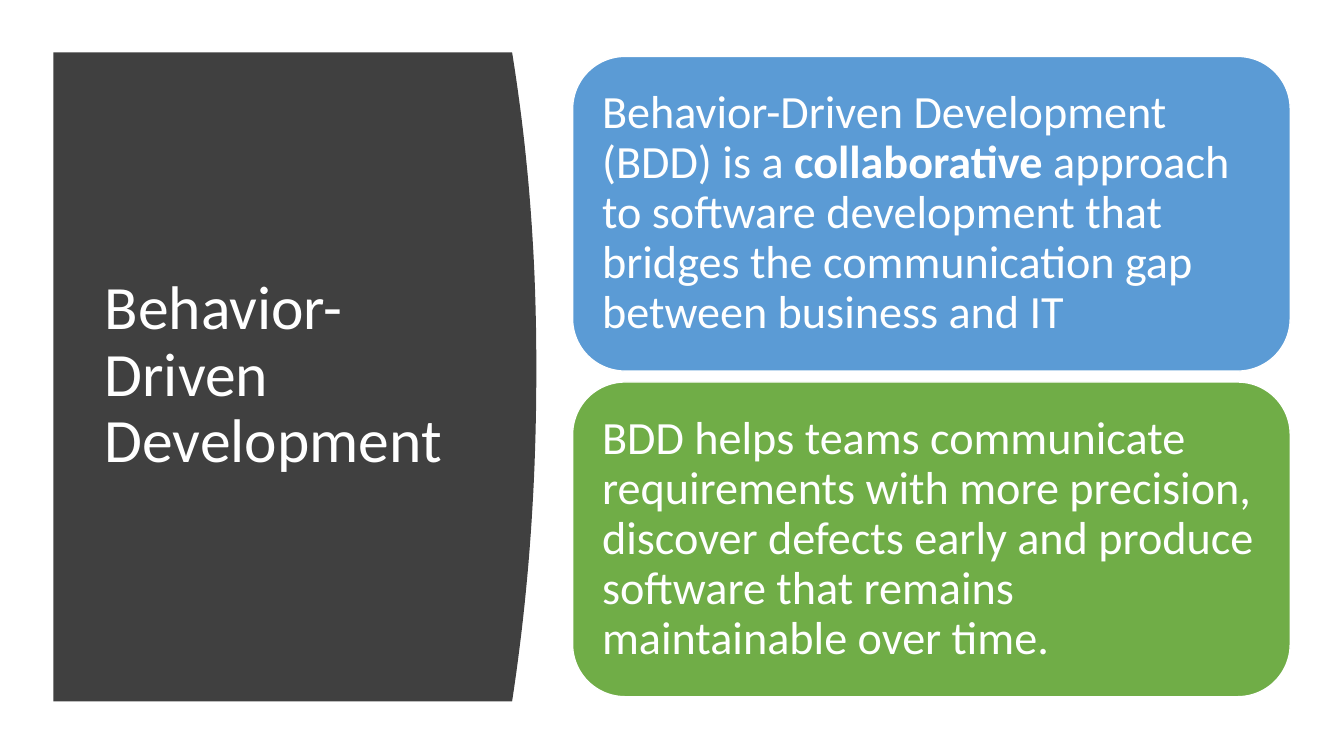
from pptx import Presentation
from pptx.dml.color import RGBColor
from pptx.enum.shapes import MSO_SHAPE as SHAPE
from pptx.enum.text import MSO_ANCHOR as ANCHOR, PP_ALIGN as ALIGN
from pptx.util import Pt

WHITE = RGBColor(0xFF, 0xFF, 0xFF)
CHARCOAL = RGBColor(0x40, 0x40, 0x40)
BLUE = RGBColor(0x5B, 0x9B, 0xD5)
GREEN = RGBColor(0x70, 0xAD, 0x47)


def write_text(sp, runs, size, font="Calibri", color=WHITE, inset_x=7.2, inset_y=3.6):
    """Fill a shape with one paragraph made of (text, bold) runs."""
    tf = sp.text_frame
    tf.word_wrap = True
    tf.vertical_anchor = ANCHOR.MIDDLE
    tf.margin_left = tf.margin_right = Pt(inset_x)
    tf.margin_top = tf.margin_bottom = Pt(inset_y)
    p = tf.paragraphs[0]
    p.alignment = ALIGN.LEFT
    p.line_spacing = 0.9
    for text, bold in runs:
        r = p.add_run()
        r.text = text
        r.font.name = font
        r.font.size = Pt(size)
        r.font.bold = bold
        r.font.color.rgb = color


class SlideBuilder:
    title_size = 44
    card_size = 33
    card_inset = 10.08

    def __init__(self, slide):
        self.s = slide

    def curved_panel(self, left, top, side, bottom, mid, bulge, color, steps=24):
        """Panel whose right side swells from `side` by `bulge` at height `mid`."""
        edge = []
        for i in range(2 * steps + 1):
            t = i / steps - 1
            half = mid - top if t < 0 else bottom - mid
            edge.append((side + bulge * (1 - abs(t) ** 2.1), mid + t * half))
        fb = self.s.shapes.build_freeform(Pt(left), Pt(top), scale=1.0)
        fb.add_line_segments([(Pt(x), Pt(y)) for x, y in edge + [(left, bottom)]])
        sp = fb.convert_to_shape()
        sp.shadow.inherit = False
        sp.fill.solid()
        sp.fill.fore_color.rgb = color
        sp.line.fill.background()

    def title(self, text, left, top, width, height):
        sp = self.s.shapes.add_textbox(Pt(left), Pt(top), Pt(width), Pt(height))
        write_text(sp, [(text, False)], self.title_size)

    def card(self, runs, left, top, width, height, color):
        sp = self.s.shapes.add_shape(
            SHAPE.ROUNDED_RECTANGLE, Pt(left), Pt(top), Pt(width), Pt(height))
        sp.shadow.inherit = False
        sp.fill.solid()
        sp.fill.fore_color.rgb = color
        sp.line.color.rgb = WHITE
        sp.line.width = Pt(1)
        write_text(sp, runs, self.card_size,
                   inset_x=self.card_inset, inset_y=self.card_inset)


def main():
    prs = Presentation()
    prs.slide_width, prs.slide_height = Pt(960), Pt(540)
    builder = SlideBuilder(prs.slides.add_slide(prs.slide_layouts[6]))

    # Dark panel with the title
    builder.curved_panel(38.2, 37.4, 365.8, 501.1, mid=263, bulge=17.3, color=CHARCOAL)
    builder.title("Behavior-Driven Development", 67.7, 80, 269.3, 377.3)

    # Two stacked cards
    cards = [
        ([("Behavior-Driven Development (BDD) is a ", False),
          ("collaborative", True),
          (" approach to software development that bridges the communication gap "
           "between business and IT", False)], BLUE),
        ([("BDD helps teams communicate requirements with more precision, discover "
           "defects early and produce software that remains maintainable over time.",
           False)], GREEN),
    ]
    height, gap = 224.8, 7.8
    for i, (runs, color) in enumerate(cards):
        builder.card(runs, 409, 40.3 + i * (height + gap), 512.6, height, color)

    prs.save("out.pptx")


if __name__ == "__main__":
    main()
